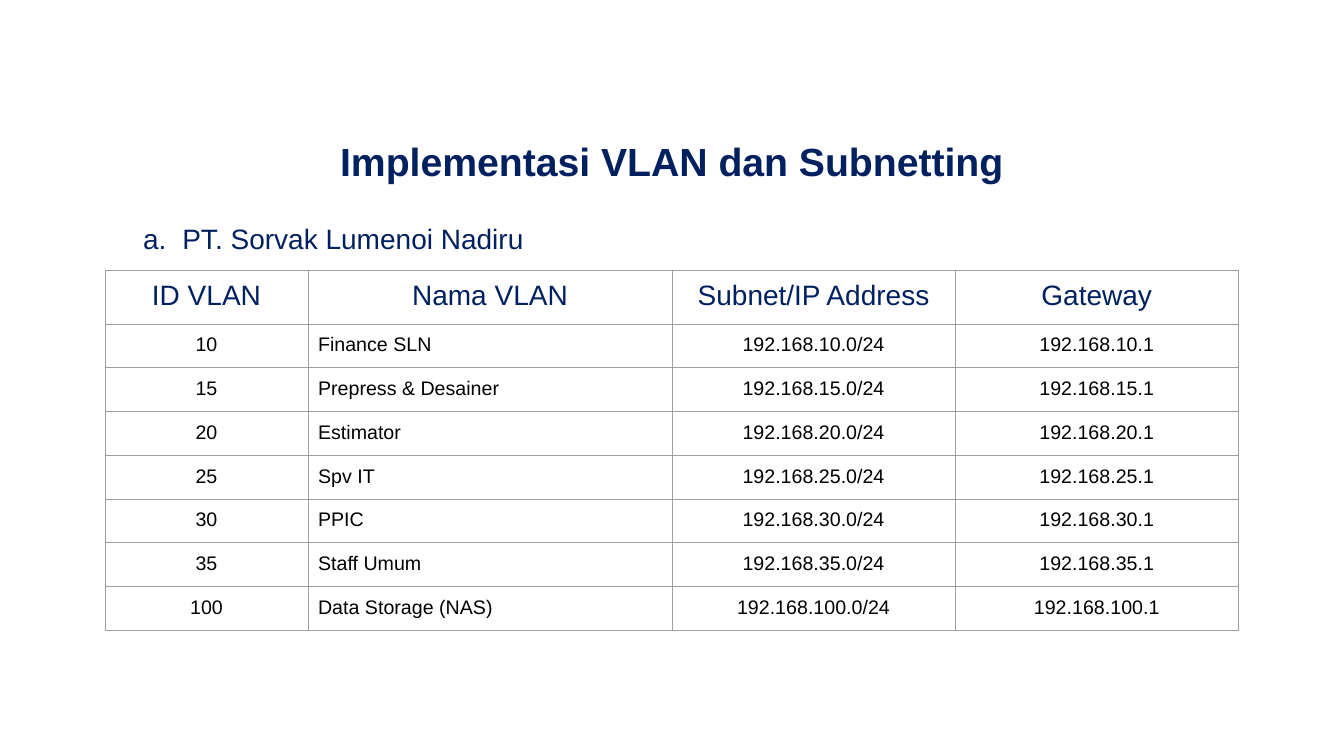
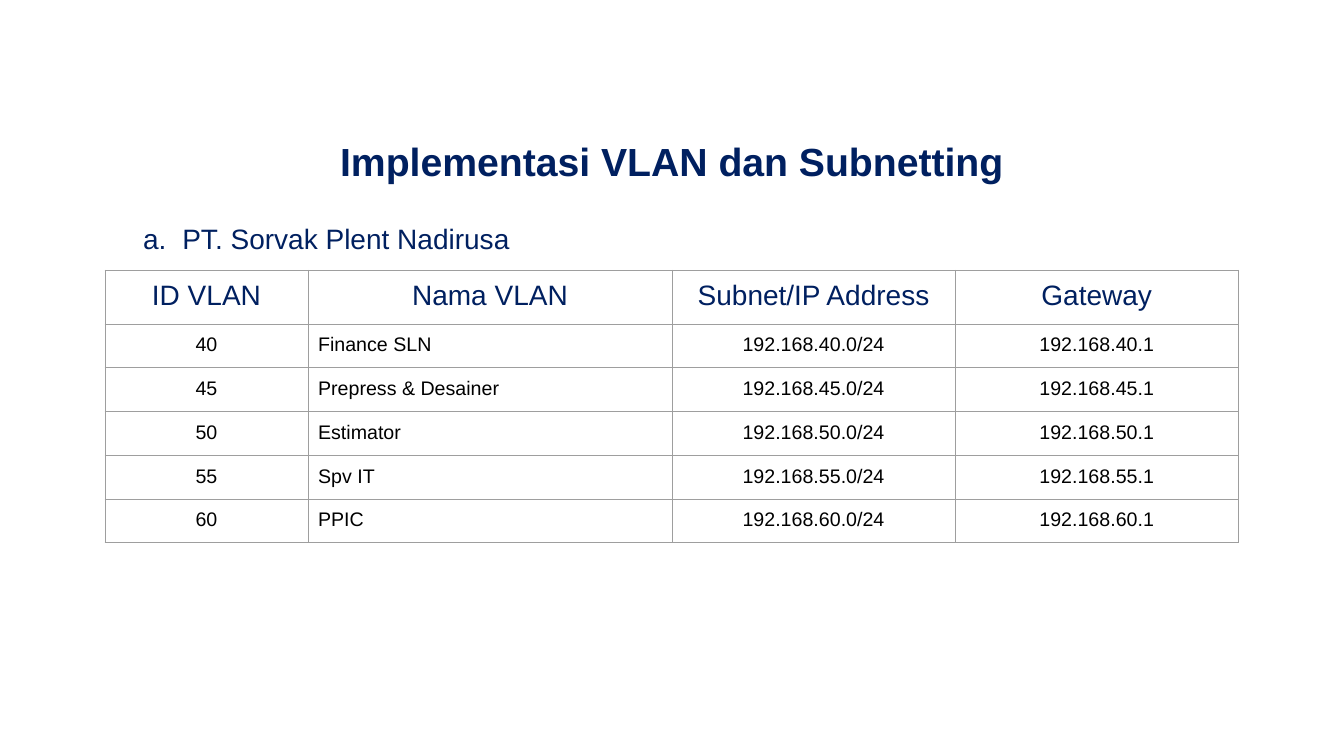
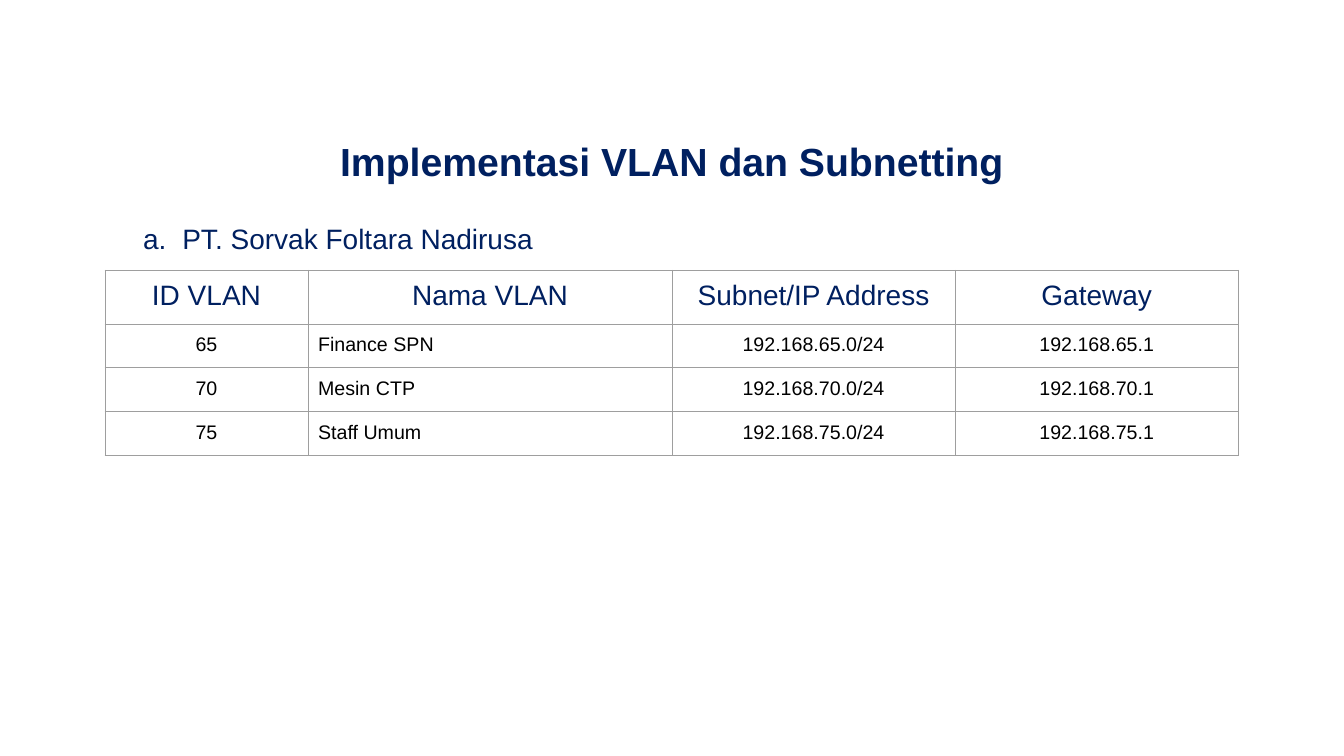
from lxml import etree
from pptx import Presentation
from pptx.dml.color import RGBColor
from pptx.enum.text import PP_ALIGN
from pptx.oxml.ns import qn
from pptx.util import Pt

LEFT, CENTER, JUSTIFY = PP_ALIGN.LEFT, PP_ALIGN.CENTER, PP_ALIGN.JUSTIFY

TITLE = "Implementasi VLAN dan Subnetting"
HEADERS = ["ID VLAN", "Nama VLAN", "Subnet/IP Address", "Gateway"]
COMPANIES = [
    ("PT. Sorvak Lumenoi Nadiru", [
        (10, "Finance SLN"),
        (15, "Prepress & Desainer"),
        (20, "Estimator"),
        (25, "Spv IT"),
        (30, "PPIC"),
        (35, "Staff Umum"),
        (100, "Data Storage (NAS)"),
    ]),
    ("PT. Sorvak Plent Nadirusa", [
        (40, "Finance SLN"),
        (45, "Prepress & Desainer"),
        (50, "Estimator"),
        (55, "Spv IT"),
        (60, "PPIC"),
    ]),
    ("PT. Sorvak Foltara Nadirusa", [
        (65, "Finance SPN"),
        (70, "Mesin CTP"),
        (75, "Staff Umum"),
    ]),
]

FONT = "Arial"
NAVY, BLACK, GREY = "002060", "000000", "9E9E9E"
TITLE_SIZE, HEADING_SIZE, BODY_SIZE = 28, 20, 14
TITLE_BOX = (185, 90.7, 589.7, 45.4)
COMPANY_BOX = (87.1, 151.2, 738, 297.4)
TABLE_LEFT, TABLE_TOP = 75, 193
COLUMN_WIDTHS = [145, 260, 202.3, 202.3]
COLUMN_ALIGNS = [CENTER, LEFT, CENTER, CENTER]
HEADER_HEIGHT, ROW_HEIGHT = 36, 30
INSET, BORDER = 7.2, 0.75
INDENT, HANGING = 36, -28


def color(hex_value):
    return RGBColor.from_string(hex_value)


def set_insets(part):
    part.margin_left = part.margin_right = Pt(INSET)
    part.margin_top = part.margin_bottom = Pt(INSET)


def write(frame, text, size, hex_color, align, bold=False):
    paragraph = frame.paragraphs[0]
    paragraph.text = text
    paragraph.alignment = align
    font = paragraph.runs[0].font
    font.name, font.size, font.bold = FONT, Pt(size), bold
    font.color.rgb = color(hex_color)
    return paragraph


def add_text(slide, box, *style, **options):
    frame = slide.shapes.add_textbox(*map(Pt, box)).text_frame
    frame.word_wrap = True
    set_insets(frame)
    return write(frame, *style, **options)


def add_color(parent, hex_color):
    etree.SubElement(parent, qn("a:srgbClr"), val=hex_color)


def add_letter(paragraph):
    """Number the paragraph a., with a hanging indent."""
    properties = paragraph._p.get_or_add_pPr()
    properties.set("marL", str(Pt(INDENT)))
    properties.set("indent", str(Pt(HANGING)))
    add_color(etree.SubElement(properties, qn("a:buClr")), NAVY)
    etree.SubElement(properties, qn("a:buFont"), typeface=FONT)
    etree.SubElement(properties, qn("a:buAutoNum"), type="alphaLcPeriod")


def add_borders(cell):
    properties = cell._tc.get_or_add_tcPr()
    for side in ("a:lnL", "a:lnR", "a:lnT", "a:lnB"):
        line = etree.SubElement(properties, qn(side), w=str(Pt(BORDER)))
        add_color(etree.SubElement(line, qn("a:solidFill")), GREY)


def add_vlan_table(slide, vlans):
    rows = [HEADERS] + [
        (str(vlan), name, f"192.168.{vlan}.0/24", f"192.168.{vlan}.1")
        for vlan, name in vlans
    ]
    height = HEADER_HEIGHT + ROW_HEIGHT * len(vlans)
    table = slide.shapes.add_table(
        len(rows), len(HEADERS), Pt(TABLE_LEFT), Pt(TABLE_TOP),
        Pt(sum(COLUMN_WIDTHS)), Pt(height)).table
    table.first_row = table.horz_banding = False
    for column, width in zip(table.columns, COLUMN_WIDTHS):
        column.width = Pt(width)
    for r, texts in enumerate(rows):
        is_header = r == 0
        table.rows[r].height = Pt(HEADER_HEIGHT if is_header else ROW_HEIGHT)
        size, text_color = (HEADING_SIZE, NAVY) if is_header else (BODY_SIZE, BLACK)
        for c, text in enumerate(texts):
            cell = table.cell(r, c)
            set_insets(cell)
            add_borders(cell)
            cell.fill.background()
            align = CENTER if is_header else COLUMN_ALIGNS[c]
            write(cell.text_frame, text, size, text_color, align)


def main():
    deck = Presentation()
    deck.slide_width, deck.slide_height = Pt(960), Pt(540)
    for company, vlans in COMPANIES:
        slide = deck.slides.add_slide(deck.slide_layouts[6])
        add_text(slide, TITLE_BOX, TITLE, TITLE_SIZE, NAVY, CENTER, bold=True)
        add_letter(add_text(slide, COMPANY_BOX, company, HEADING_SIZE, NAVY, JUSTIFY))
        add_vlan_table(slide, vlans)
    deck.save("out.pptx")


if __name__ == "__main__":
    main()
